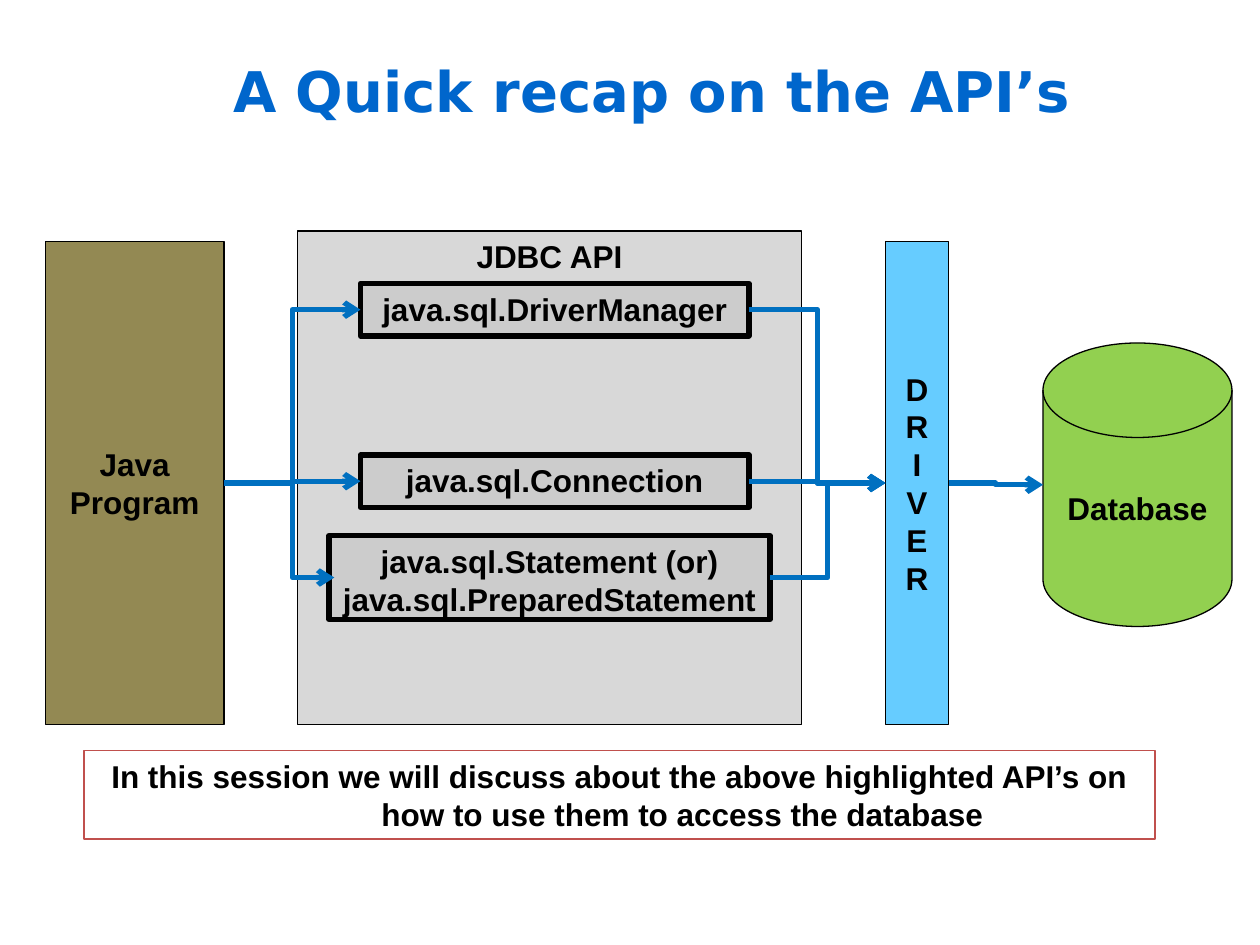
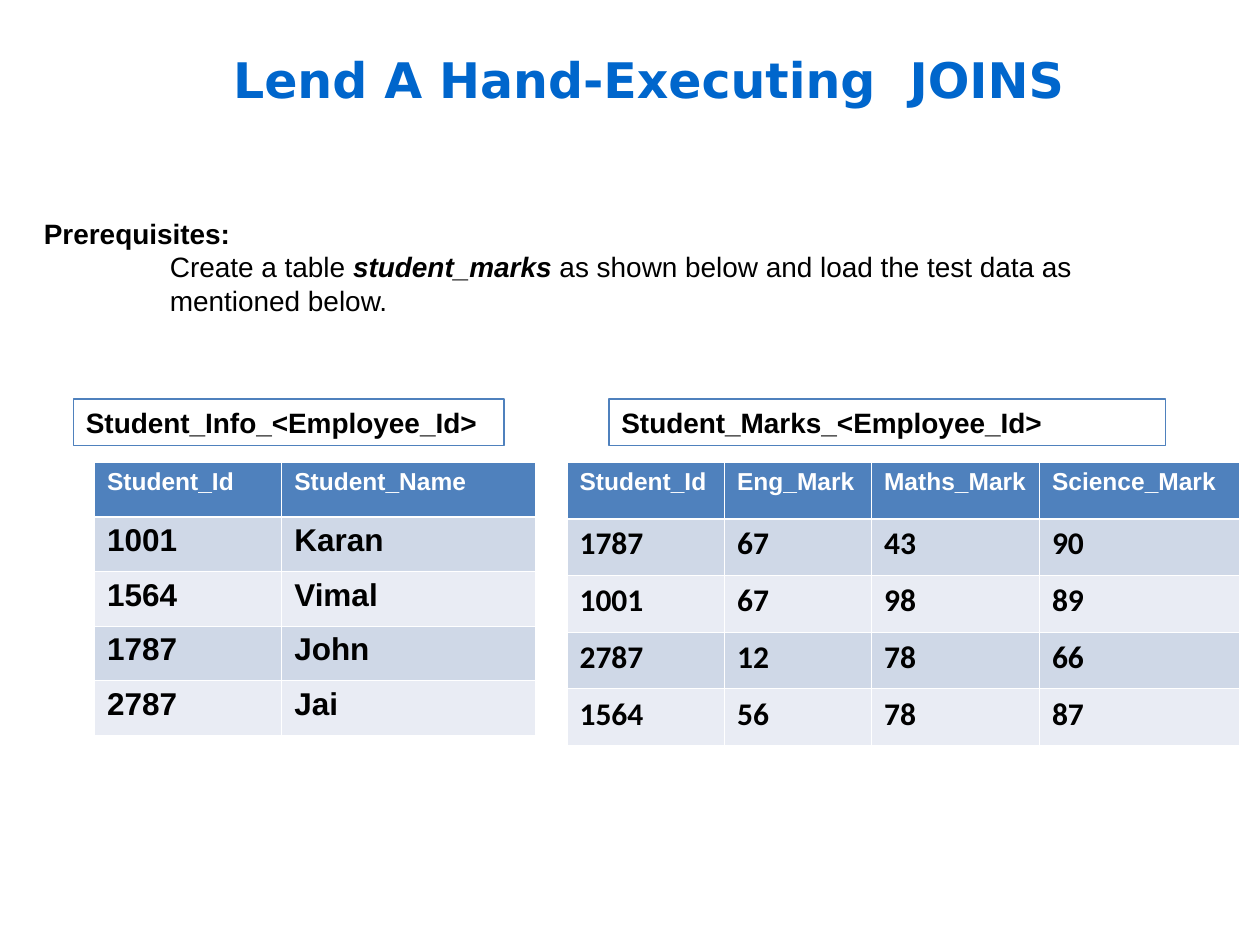
from pptx import Presentation
from pptx.dml.color import RGBColor
from pptx.enum.shapes import MSO_CONNECTOR, MSO_SHAPE
from pptx.enum.text import MSO_ANCHOR, MSO_AUTO_SIZE, PP_ALIGN
from pptx.oxml.ns import qn
from pptx.oxml.xmlchemy import OxmlElement
from pptx.util import Pt

BLACK, WHITE = "000000", "FFFFFF"
TITLE_BLUE, ARROW_BLUE, TABLE_BLUE = "0066CC", "0070C0", "4F81BD"
ROW_FILLS = ("CFD8E7", "E9ECF4")


def rgb(value):
    """Turn a hex string into a colour."""
    return RGBColor.from_string(value)


def points(*lengths):
    """Turn numbers into point lengths."""
    return [Pt(n) for n in lengths]


def sub(parent, tag, **attrs):
    """Append an XML child with the given attributes."""
    child = OxmlElement(tag)
    for name, value in attrs.items():
        child.set(name, str(value))
    parent.append(child)
    return child


def style(r, size, color=BLACK, font="Arial", bold=True, italic=False):
    """Format one run."""
    r.font.size, r.font.name = Pt(size), font
    r.font.bold, r.font.italic = bold, italic
    r.font.color.rgb = rgb(color)


def write(tf, text, size, align=PP_ALIGN.LEFT, anchor=MSO_ANCHOR.TOP, **look):
    """Fill a text frame with evenly styled paragraphs."""
    tf.word_wrap = True
    tf.vertical_anchor = anchor
    tf.text = text
    for p in tf.paragraphs:
        p.alignment = align
        for r in p.runs:
            style(r, size, **look)


def add_slide(prs, title, top, size):
    """Add a slide with the shared title style."""
    s = prs.slides.add_slide(prs.slide_layouts[5])
    sp = s.shapes.title
    sp.left, sp.top, sp.width, sp.height = points(126, top, 594, 90)
    sp.text_frame.auto_size = MSO_AUTO_SIZE.NONE
    write(sp.text_frame, title, size, anchor=MSO_ANCHOR.MIDDLE,
          color=TITLE_BLUE, font="DejaVu Sans")
    return s


def add_block(s, box, text, fill, line=BLACK, weight=0.75, size=18,
              kind=MSO_SHAPE.RECTANGLE, align=PP_ALIGN.CENTER,
              anchor=MSO_ANCHOR.TOP):
    """Add a filled, outlined shape with text."""
    sp = s.shapes.add_shape(kind, *points(*box))
    sp.shadow.inherit = False
    sp.fill.solid()
    sp.fill.fore_color.rgb = rgb(fill)
    sp.line.color.rgb = rgb(line)
    sp.line.width = Pt(weight)
    write(sp.text_frame, text, size, align, anchor)
    return sp


def add_arrow(s, start, end, bend=None):
    """Add an elbow arrow that turns at x = bend, or halfway."""
    c = s.shapes.add_connector(MSO_CONNECTOR.ELBOW, *points(*start, *end))
    c.line.color.rgb = rgb(ARROW_BLUE)
    c.line.width = Pt(3)
    props = c._element.spPr
    sub(props.find(qn("a:ln")), "a:tailEnd", type="arrow")
    sub(props, "a:effectLst")
    if bend:
        share = (bend - start[0]) / (end[0] - start[0])
        guides = props.find(qn("a:prstGeom")).find(qn("a:avLst"))
        sub(guides, "a:gd", name="adj1", fmla=f"val {round(share * 100000)}")


def left_mid(box):
    """Return the middle of a box's left side."""
    return box[0], box[1] + box[3] / 2


def right_mid(box):
    """Return the middle of a box's right side."""
    return box[0] + box[2], box[1] + box[3] / 2


def add_api(s, box):
    """Add the API panel and return the boxes of its three classes."""
    add_block(s, box, "JDBC API", "D8D8D8")
    classes = (
        ("java.sql.DriverManager", (36, 30, 222, 30)),
        ("java.sql.Connection", (36, 128, 222, 30)),
        ("java.sql.Statement (or)\njava.sql.PreparedStatement", (18, 174, 252, 48)),
    )
    placed = []
    for text, (dx, dy, width, height) in classes:
        place = (box[0] + dx, box[1] + dy, width, height)
        add_block(s, place, text, "CCCCCC", weight=3)
        placed.append(place)
    return placed


def add_flow(s, program, api, driver, database):
    """Add the path from the program through the API to the database."""
    middle = MSO_ANCHOR.MIDDLE
    classes = add_api(s, api)
    add_block(s, database, "Database", "92D050", anchor=middle,
              kind=MSO_SHAPE.FLOWCHART_MAGNETIC_DISK)
    add_block(s, program, "Java\nProgram", "938953", anchor=middle)
    add_block(s, driver, "\n".join("DRIVER"), "66CCFF", anchor=middle)
    bend = (right_mid(program)[0] + left_mid(classes[0])[0]) / 2
    for place in classes:
        x, y = left_mid(place)
        add_arrow(s, right_mid(program), (max(x, api[0] + 21), y), bend)
        add_arrow(s, right_mid(place), left_mid(driver))
    add_arrow(s, right_mid(driver), left_mid(database))


def add_note(s, box):
    """Add the closing note with a hanging indent."""
    sp = add_block(s, box, "In this session we will discuss about the above highlighted "
                   "API’s on how to use them to access the database", WHITE, "C0504D")
    pPr = sp.text_frame.paragraphs[0]._p.get_or_add_pPr()
    pPr.set("marL", str(Pt(72)))
    pPr.set("indent", str(Pt(-72)))


def add_prerequisites(s, box):
    """Add the heading and the indented instruction."""
    tf = s.shapes.add_textbox(*points(*box)).text_frame
    write(tf, "Prerequisites:", 16)
    p = tf.add_paragraph()
    p._p.get_or_add_pPr().set("marL", str(Pt(72)))
    for text, strong in (
        ("Create a table ", False),
        ("student_marks", True),
        (" as shown below and load the test data as mentioned below.", False),
    ):
        r = p.add_run()
        r.text = text
        style(r, 16, bold=strong, italic=strong)


def add_borders(cell, top, bottom):
    """Give a cell white borders."""
    tcPr = cell._tc.get_or_add_tcPr()
    for side, weight in (("L", 0.45), ("R", 0.45), ("T", top), ("B", bottom)):
        ln = sub(tcPr, f"a:ln{side}", w=Pt(weight))
        sub(sub(ln, "a:solidFill"), "a:srgbClr", val=WHITE)


def add_data_table(s, left, top, widths, row_height, rows, font):
    """Add a table with a blue header and banded rows."""
    frame = s.shapes.add_table(len(rows), len(widths), *points(
        left, top, sum(widths), row_height * len(rows)))
    table = frame.table
    for column, width in zip(table.columns, widths):
        column.width = Pt(width)
    for i, values in enumerate(rows):
        table.rows[i].height = Pt(row_height)
        for j, value in enumerate(values):
            cell = table.cell(i, j)
            add_borders(cell, 1.47 if i == 1 else 0.45, 1.47 if i == 0 else 0.45)
            cell.fill.solid()
            cell.fill.fore_color.rgb = rgb(ROW_FILLS[(i - 1) % 2] if i else TABLE_BLUE)
            cell.text = value
            r = cell.text_frame.paragraphs[0].runs[0]
            if i:
                style(r, 18, font=font)
            else:
                style(r, 14, WHITE)


def add_caption(s, box, text):
    """Add the framed name of a table."""
    add_block(s, box, text, WHITE, TABLE_BLUE, size=16, align=PP_ALIGN.LEFT)


def build_recap(prs):
    """Build the slide on the API classes."""
    s = add_slide(prs, "A Quick recap on the API’s", 6.5, 32)
    add_flow(s, program=(26, 138, 102, 276), api=(170, 132, 288, 282),
             driver=(506, 138, 36, 276), database=(596, 196, 108, 162))
    add_note(s, (48, 429, 612, 50.5))


def build_joins(prs):
    """Build the slide with the two student tables."""
    s = add_slide(prs, "Lend A Hand-Executing  JOINS", 0, 28)
    add_prerequisites(s, (18, 120, 672, 65))
    info = (
        ("Student_Id", "Student_Name"),
        ("1001", "Karan"),
        ("1564", "Vimal"),
        ("1787", "John"),
        ("2787", "Jai"),
    )
    marks = (
        ("Student_Id", "Eng_Mark", "Maths_Mark", "Science_Mark"),
        ("1787", "67", "43", "90"),
        ("1001", "67", "98", "89"),
        ("2787", "12", "78", "66"),
        ("1564", "56", "78", "87"),
    )
    add_data_table(s, 54, 264, (107, 145), 31.25, info, "Arial")
    add_caption(s, (42, 228, 246, 26.5), "Student_Info_<Employee_Id>")
    add_data_table(s, 324, 264, (90, 84, 96, 114), 32.4, marks, "Calibri")
    add_caption(s, (348, 228, 318, 26.5), "Student_Marks_<Employee_Id>")


def main():
    """Build and save the presentation."""
    prs = Presentation()
    prs.slide_width, prs.slide_height = points(720, 540)
    build_recap(prs)
    build_joins(prs)
    prs.save("out.pptx")


if __name__ == "__main__":
    main()
